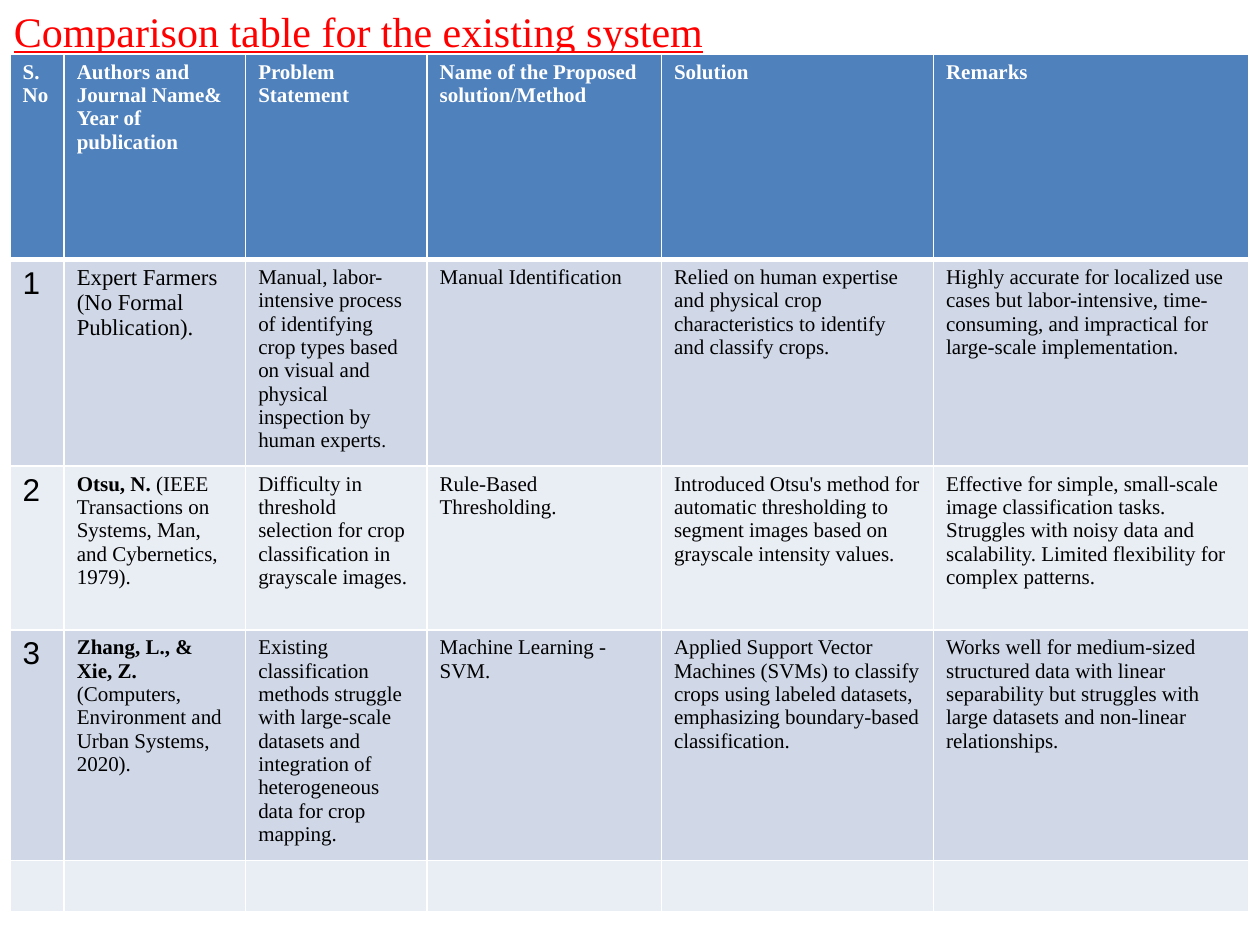
from dataclasses import dataclass

from lxml.etree import SubElement
from pptx import Presentation
from pptx.dml.color import RGBColor
from pptx.enum.text import MSO_ANCHOR as Anchor, MSO_AUTO_SIZE as AutoSize, PP_ALIGN as Align
from pptx.oxml.ns import qn
from pptx.util import Inches, Pt

# Content: a cell is a string, or a list of (text, style changes) runs
TITLE = "Comparison table for the existing system"
HEADERS = ["S.No", "Authors and Journal Name& Year of publication", "Problem Statement",
           "Name of the Proposed solution/Method", "Solution", "Remarks"]
ROWS = [
    ["1",
     [("Expert Farmers (No Formal Publication).", {"size": 13})],
     [("Manual, labor-intensive process of identifying crop types based on visual and "
       "physical inspection by human experts", {}), (".", {"size": 11})],
     "Manual Identification",
     "Relied on human expertise and physical crop characteristics to identify and classify crops.",
     "Highly accurate for localized use cases but labor-intensive, time-consuming, and "
     "impractical for large-scale implementation."],
    ["2",
     [("Otsu, N.", {"bold": True}),
      (" (IEEE Transactions on Systems, Man, and Cybernetics, 1979).", {})],
     "Difficulty in threshold selection for crop classification in grayscale images.",
     "Rule-Based Thresholding.",
     "Introduced Otsu's method for automatic thresholding to segment images based on "
     "grayscale intensity values.",
     "Effective for simple, small-scale image classification tasks. Struggles with noisy data "
     "and scalability. Limited flexibility for complex patterns."],
    ["3",
     [("Zhang, L., & Xie, Z.", {"bold": True}),
      (" (Computers, Environment and Urban Systems, 2020).", {})],
     "Existing classification methods struggle with large-scale datasets and integration of "
     "heterogeneous data for crop mapping.",
     "Machine Learning - SVM.",
     "Applied Support Vector Machines (SVMs) to classify crops using labeled datasets, "
     "emphasizing boundary-based classification.",
     "Works well for medium-sized structured data with linear separability but struggles with "
     "large datasets and non-linear relationships."],
    [""] * len(HEADERS),
]
COLUMN_WIDTHS = [0.43, 1.44, 1.44, 1.86, 2.16, 2.5]
ROW_HEIGHTS = [1.63, 1.64, 1.3, 1.83, 0.39]


@dataclass(frozen=True)
class Theme:
    serif: str = "Times New Roman"
    sans: str = "Arial"
    title_color: str = "FF0000"
    header_text: str = "FFFFFF"
    body_text: str = "000000"
    header_fill: str = "4F81BD"
    band_fills: tuple = ("D0D8E8", "E9EDF4")
    border: str = "FFFFFF"
    title_size: int = 24
    number_size: int = 18
    text_size: int = 12


THEME = Theme()


def add_run(paragraph, text, font, size, color, bold=False, underline=False):
    run = paragraph.add_run()
    run.text = text
    run.font.name, run.font.size = font, Pt(size)
    run.font.bold, run.font.underline = bold, underline
    run.font.color.rgb = RGBColor.from_string(color)


def set_borders(cell, is_header):
    properties = cell._tc.get_or_add_tcPr()
    for index, side in enumerate("LRTB"):
        heavy = is_header and side == "B"
        line = SubElement(properties, qn(f"a:ln{side}"), w=str(Pt(3 if heavy else 1)))
        fill = SubElement(line, qn("a:solidFill"))
        SubElement(fill, qn("a:srgbClr"), val=THEME.border)
        properties.insert(index, line)  # borders come before the fill


def fill_cell(cell, content, fill, style):
    cell.fill.solid()
    cell.fill.fore_color.rgb = RGBColor.from_string(fill)
    runs = [(content, {})] if isinstance(content, str) else content
    for text, changes in runs:
        if text:
            add_run(cell.text_frame.paragraphs[0], text, **{**style, **changes})


def add_title(slide):
    title = slide.shapes.title
    title.left, title.top = Inches(0.01), Inches(-0.01)
    title.width, title.height = Inches(9.83), Inches(0.5)
    frame = title.text_frame
    frame.word_wrap, frame.auto_size = True, AutoSize.NONE
    frame.vertical_anchor = Anchor.TOP
    paragraph = frame.paragraphs[0]
    paragraph.alignment = Align.LEFT
    add_run(paragraph, TITLE, THEME.serif, THEME.title_size, THEME.title_color, underline=True)


def add_comparison_table(slide):
    table = slide.shapes.add_table(
        len(ROW_HEIGHTS), len(COLUMN_WIDTHS), Inches(0.08), Inches(0.43),
        Inches(sum(COLUMN_WIDTHS)), Inches(sum(ROW_HEIGHTS))).table
    for column, width in zip(table.columns, COLUMN_WIDTHS):
        column.width = Inches(width)
    for row, height in zip(table.rows, ROW_HEIGHTS):
        row.height = Inches(height)

    header = dict(font=THEME.serif, size=THEME.text_size, color=THEME.header_text, bold=True)
    body = dict(font=THEME.serif, size=THEME.text_size, color=THEME.body_text)
    number = dict(font=THEME.sans, size=THEME.number_size, color=THEME.body_text)
    for i, contents in enumerate([HEADERS] + ROWS):
        for j, content in enumerate(contents):
            cell = table.cell(i, j)
            if i == 0:
                fill_cell(cell, content, THEME.header_fill, header)
            else:
                fill_cell(cell, content, THEME.band_fills[(i - 1) % 2], body if j else number)
            set_borders(cell, is_header=i == 0)


def main():
    presentation = Presentation()
    presentation.slide_width, presentation.slide_height = Inches(10), Inches(7.5)
    slide = presentation.slides.add_slide(presentation.slide_layouts[5])  # title only
    add_title(slide)
    add_comparison_table(slide)
    presentation.save("out.pptx")


if __name__ == "__main__":
    main()
